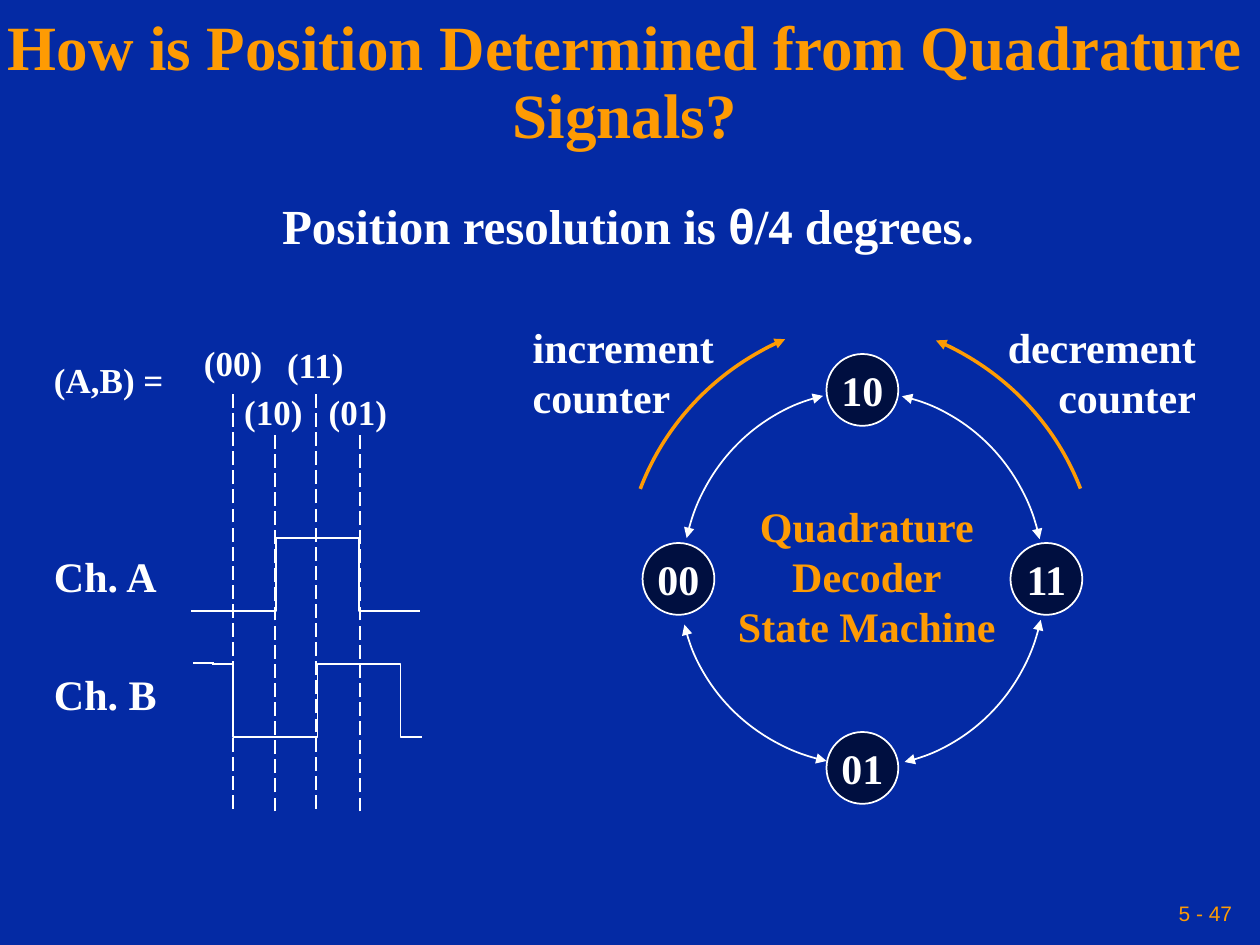
from math import atan2, degrees
from lxml import etree
from pptx import Presentation
from pptx.dml.color import RGBColor
from pptx.enum.dml import MSO_LINE
from pptx.enum.shapes import MSO_CONNECTOR, MSO_SHAPE
from pptx.enum.text import MSO_ANCHOR, PP_ALIGN
from pptx.oxml.ns import qn
from pptx.util import Inches, Pt

THEME = {
    "bg": "042AA4", "accent": "FE9B03", "white": "FFFFFF", "node": "000F40",
    "serif": "Times New Roman", "sans": "Arial",
    "title": 36, "lead": 28, "body": 24, "label": 20, "page": 12,
}
LEFT, CENTER, RIGHT = PP_ALIGN.LEFT, PP_ALIGN.CENTER, PP_ALIGN.RIGHT

TEXTS = [
    ("5 - 47", (6.83, 7.08, 3, 0.33),
     dict(size="page", color="accent", font="sans", bold=False, align=RIGHT,
          anchor=MSO_ANCHOR.MIDDLE, inset=0.05)),
    ("How is Position Determined from Quadrature Signals?", (0, 0.25, 9.92, 0.83),
     dict(size="title", color="accent", align=CENTER, anchor=MSO_ANCHOR.MIDDLE, spacing=0.9)),
    ([("Position resolution is ", "serif"), ("θ", "sans"), ("/4 degrees.", "serif")],
     (2.14, 1.5, 5.7, 0.56), dict(size="lead")),
    ("Ch. A", (0.33, 4.32, 1.03, 0.5), {}),
    ("Ch. B", (0.33, 5.26, 1.01, 0.5), {}),
    ("(A,B) =", (0.33, 2.8, 1.07, 0.43), dict(size="label")),
    ("(00)", (1.52, 2.66, 0.66, 0.43), dict(size="label")),
    ("(11)", (2.18, 2.68, 0.66, 0.43), dict(size="label")),
    ("(10)", (1.84, 3.05, 0.66, 0.43), dict(size="label")),
    ("(01)", (2.51, 3.05, 0.66, 0.43), dict(size="label")),
    ("Quadrature\nDecoder\nState Machine", (5.76, 3.92, 2.24, 1.3),
     dict(color="accent", align=CENTER)),
    ("increment\ncounter", (4.13, 2.5, 1.64, 0.9), {}),
    ("decrement\ncounter", (7.89, 2.5, 1.7, 0.9), dict(align=RIGHT)),
]

SAMPLE_LINES = [(1.85, 6.42, 3.09), (2.18, 6.44, 3.43), (2.51, 6.42, 3.09), (2.86, 6.44, 3.43)]
WAVES = [
    dict(edges=[1.52, 2.19, 2.85, 3.19], high=4.27, low=4.85, starts_high=False),
    dict(edges=[1.68, 1.85, 2.52, 3.18, 3.35], high=5.27, low=5.85, starts_high=True),
]
WAVE_ENDS = [(1.7, 5.26, 1.53, 5.26), (3.08, 4.85, 3.33, 4.85)]

NODE_SIZE = 0.57
NODES = [("00", 5.1, 4.31), ("01", 6.56, 5.81), ("11", 8.02, 4.31), ("10", 6.56, 2.81)]

BOTH, HEAD, TAIL = ("headEnd", "tailEnd"), ("headEnd",), ("tailEnd",)
ARCS = [
    ((6.85, 4.6), (2.87, 2.99), (5.45, 4.27), (6.53, 3.13), BOTH, "white", 1),
    ((6.89, 4.64), (2.99, 2.87), (6.56, 6.04), (5.42, 4.96), BOTH, "white", 1),
    ((6.85, 4.6), (2.87, 2.98), (7.16, 3.14), (8.25, 4.28), BOTH, "white", 1),
    ((6.86, 4.59), (2.87, 2.99), (8.26, 4.92), (7.18, 6.05), BOTH, "white", 1),
    ((7.1, 4.6), (4.3, 4.17), (5.08, 3.88), (6.24, 2.71), TAIL, "accent", 2),
    ((6.56, 4.6), (4.3, 4.15), (7.43, 2.7), (8.6, 3.87), HEAD, "accent", 2),
]


def rgb(name):
    return RGBColor.from_string(THEME[name])


def write(tf, text, *, size="body", color="white", font="serif", bold=True, align=LEFT,
          anchor=MSO_ANCHOR.TOP, inset=0.1, spacing=None):
    tf.word_wrap = True
    tf.vertical_anchor = anchor
    tf.margin_left = Inches(inset if align == LEFT else 0)
    tf.margin_right = Inches(inset if align == RIGHT else 0)
    tf.margin_top = tf.margin_bottom = Inches(0.05)
    lines = [[(t, font)] for t in text.split("\n")] if isinstance(text, str) else [text]
    for i, runs in enumerate(lines):
        p = tf.add_paragraph() if i else tf.paragraphs[0]
        p.alignment = align
        if spacing:
            p.line_spacing = spacing
        for content, face in runs:
            r = p.add_run()
            r.text = content
            r.font.size, r.font.bold = Pt(THEME[size]), bold
            r.font.name, r.font.color.rgb = THEME[face], rgb(color)


def outline(sp, color="white", width=1):
    sp.line.color.rgb = rgb(color)
    sp.line.width = Pt(width)


def add_line(s, x1, y1, x2, y2, dashed=False):
    c = s.shapes.add_connector(MSO_CONNECTOR.STRAIGHT, *map(Inches, (x1, y1, x2, y2)))
    outline(c)
    if dashed:
        c.line.dash_style = MSO_LINE.LONG_DASH
    etree.SubElement(c._element.spPr, qn("a:effectLst"))


def add_wave(s, edges, high, low, starts_high):
    points = []
    for i, (x1, x2) in enumerate(zip(edges, edges[1:])):
        y = high if (i % 2 == 0) == starts_high else low
        points += [(Inches(x1), Inches(y)), (Inches(x2), Inches(y))]
    builder = s.shapes.build_freeform(*points[0], scale=1.0)
    builder.add_line_segments(points[1:], close=False)
    sp = builder.convert_to_shape()
    sp.shadow.inherit = False
    sp.fill.background()
    outline(sp)


def add_node(s, text, x, y):
    sp = s.shapes.add_shape(MSO_SHAPE.OVAL, *map(Inches, (x, y, NODE_SIZE, NODE_SIZE)))
    sp.shadow.inherit = False
    sp.fill.solid()
    sp.fill.fore_color.rgb = rgb("node")
    outline(sp)
    write(sp.text_frame, text, align=CENTER, anchor=MSO_ANCHOR.MIDDLE)


def add_arc(s, center, size, start, end, arrows, color, width):
    (cx, cy), (w, h) = center, size
    sp = s.shapes.add_shape(MSO_SHAPE.ARC, *map(Inches, (cx - w / 2, cy - h / 2, w, h)))
    for i, (x, y) in enumerate((start, end)):
        sp.adjustments[i] = degrees(atan2(y - cy, x - cx)) % 360 * 0.6
    sp.shadow.inherit = False
    sp.fill.background()
    outline(sp, color, width)
    for tag in arrows:
        etree.SubElement(sp.line._get_or_add_ln(), qn("a:" + tag), type="triangle")


def main():
    prs = Presentation()
    prs.slide_width, prs.slide_height = Inches(10), Inches(7.5)
    s = prs.slides.add_slide(prs.slide_layouts[6])
    s.background.fill.solid()
    s.background.fill.fore_color.rgb = rgb("bg")
    for x, bottom, top in SAMPLE_LINES:
        add_line(s, x, bottom, x, top, dashed=True)
    for wave in WAVES:
        add_wave(s, **wave)
    for ends in WAVE_ENDS:
        add_line(s, *ends)
    for node in NODES:
        add_node(s, *node)
    for arc in ARCS:
        add_arc(s, *arc)
    for text, box, style in TEXTS:
        write(s.shapes.add_textbox(*map(Inches, box)).text_frame, text, **style)
    prs.save("out.pptx")


if __name__ == "__main__":
    main()
